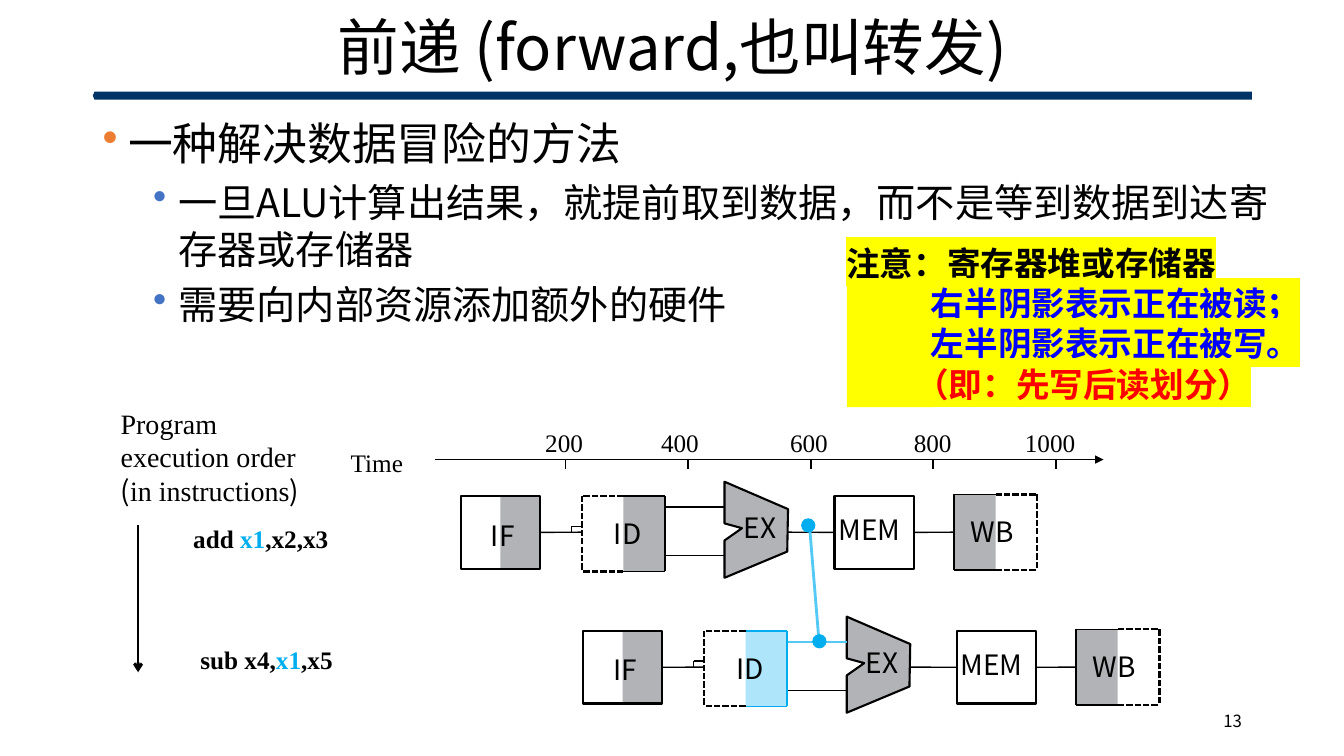
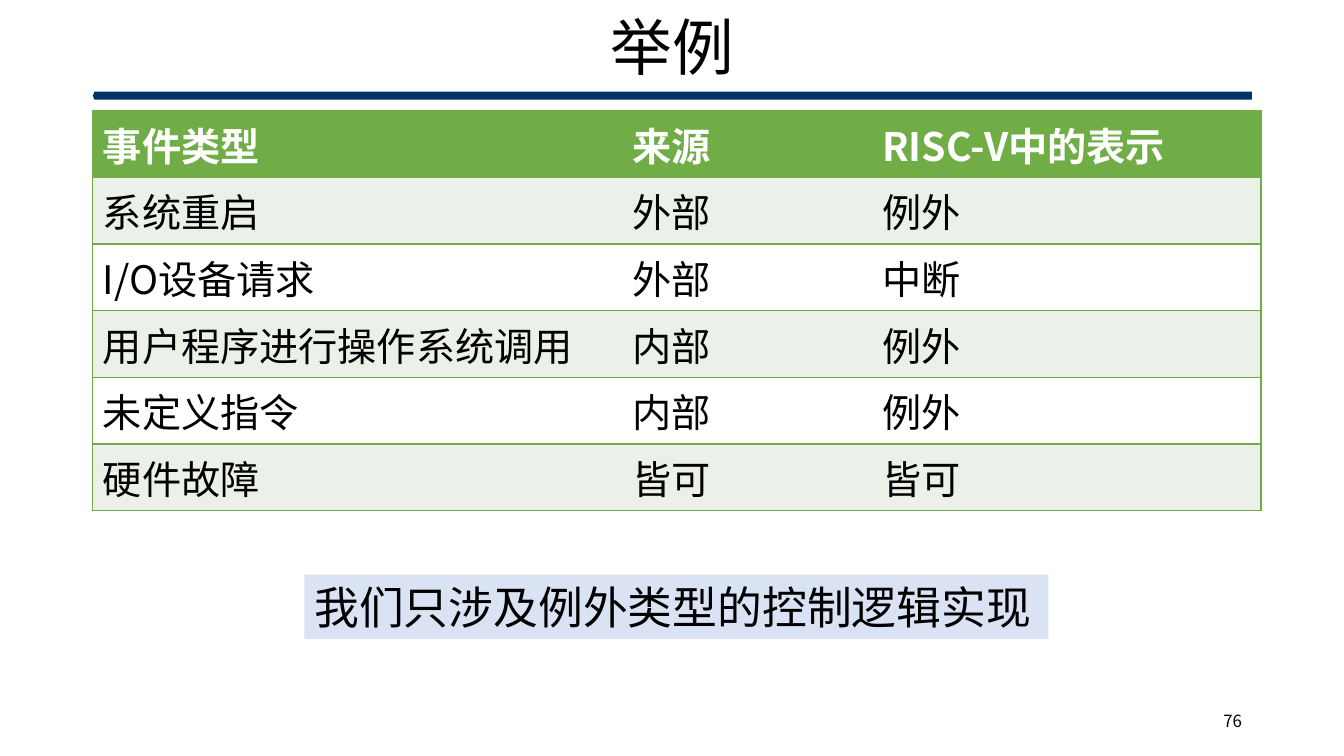
from lxml import etree
from pptx import Presentation
from pptx.dml.color import RGBColor
from pptx.enum.dml import MSO_LINE
from pptx.enum.shapes import MSO_CONNECTOR, MSO_SHAPE
from pptx.enum.text import MSO_ANCHOR as ANCHOR, PP_ALIGN as ALIGN
from pptx.oxml.ns import qn
from pptx.util import Cm, Pt

COLORS = {
    "black": "000000", "white": "FFFFFF", "navy": "003366", "gray": "B2B3B6",
    "orange": "ED7D31", "blue": "4472C4", "cyan": "00AEEF", "sky": "54C9F5",
    "ice": "AEE5FA", "green": "70AD47", "mint": "EBF1E9", "pale": "DAE3F3",
    "yellow": "FFFF00", "pure_blue": "0000FF", "red": "FF0000",
}
SANS, SERIF = "Noto Sans CJK SC", "Times New Roman"


def rgb(name):
    return RGBColor.from_string(COLORS[name])


def add_color(parent, tag, name):
    """Append an element that wraps one colour."""
    el = etree.SubElement(parent, qn(tag))
    etree.SubElement(el, qn("a:srgbClr")).set("val", COLORS[name])
    return el


class Deck:
    def __init__(self):
        self.prs = Presentation()
        self.prs.slide_width, self.prs.slide_height = Cm(33.87), Cm(19.05)
        self.s = None

    def slide(self, title, number):
        """Start a slide with its title, band and page number."""
        self.s = self.prs.slides.add_slide(self.prs.slide_layouts[6])
        band = self.shape(MSO_SHAPE.PENTAGON, (2.34, 2.31, 29.21, 0.2), "navy")
        band.adjustments[0] = 0.2
        band.rotation = 180
        tf = self.text((2.34, 0.43, 29.21, 1.68), [[title]], 44,
                       align=ALIGN.CENTER, anchor=ANCHOR.MIDDLE)
        tf.paragraphs[0].line_spacing = 0.9
        self.text((23.93, 17.65, 7.62, 1.02), [[str(number)]], 12,
                  align=ALIGN.RIGHT, anchor=ANCHOR.MIDDLE)

    def run(self, p, text, size, font=SANS, color="black", bold=False, mark=None):
        r = p.add_run()
        r.text = text
        r.font.size, r.font.bold, r.font.name = Pt(size), bold, font
        r.font.color.rgb = rgb(color)
        latin = r.font._element.find(qn("a:latin"))
        ea = etree.Element(qn("a:ea"))
        ea.set("typeface", font)
        latin.addnext(ea)
        if mark:
            latin.addprevious(add_color(r.font._element, "a:highlight", mark))

    def fill_text(self, tf, paras, size, align=ALIGN.LEFT, **style):
        """Each paragraph is a list of strings or (string, style) pairs."""
        for i, runs in enumerate(paras):
            p = tf.paragraphs[0] if i == 0 else tf.add_paragraph()
            p.alignment = align
            for item in runs:
                text, extra = (item, {}) if isinstance(item, str) else item
                self.run(p, text, **{"size": size, **style, **extra})

    def text(self, box, paras, size, anchor=ANCHOR.TOP, **style):
        tf = self.s.shapes.add_textbox(*map(Cm, box)).text_frame
        tf.word_wrap, tf.vertical_anchor = True, anchor
        self.fill_text(tf, paras, size, **style)
        return tf

    def indent(self, p, left, first=0, bullet=None):
        pPr = p._p.get_or_add_pPr()
        pPr.set("marL", str(Cm(left)))
        pPr.set("indent", str(Cm(first)))
        if bullet:
            add_color(pPr, "a:buClr", bullet)
            etree.SubElement(pPr, qn("a:buChar")).set("char", "•")

    def paint(self, sp, fill, line=None, width=1.5):
        sp.shadow.inherit = False
        if fill:
            sp.fill.solid()
            sp.fill.fore_color.rgb = rgb(fill)
        else:
            sp.fill.background()
        if line:
            sp.line.color.rgb, sp.line.width = rgb(line), Pt(width)
        else:
            sp.line.fill.background()
        return sp

    def shape(self, kind, box, fill=None, line=None):
        sp = self.s.shapes.add_shape(kind, *map(Cm, box))
        return self.paint(sp, fill, line)

    def rect(self, box, fill=None, line=None):
        return self.shape(MSO_SHAPE.RECTANGLE, box, fill, line)

    def polygon(self, points, fill, line):
        pts = [(Cm(x), Cm(y)) for x, y in points]
        builder = self.s.shapes.build_freeform(*pts[0], scale=1.0)
        builder.add_line_segments(pts[1:], close=True)
        return self.paint(builder.convert_to_shape(), fill, line)

    def line(self, x1, y1, x2, y2, color="black", width=1.0, dash=False,
             head=None, begin=None, end=None):
        c = self.s.shapes.add_connector(MSO_CONNECTOR.STRAIGHT,
                                        Cm(x1), Cm(y1), Cm(x2), Cm(y2))
        if begin:
            c.begin_connect(*begin)
        if end:
            c.end_connect(*end)
        c.line.color.rgb, c.line.width = rgb(color), Pt(width)
        if dash:
            c.line.dash_style = MSO_LINE.SQUARE_DOT
        if head:
            etree.SubElement(c.line._ln, qn("a:tailEnd")).set("type", head)
        etree.SubElement(c._element.spPr, qn("a:effectLst"))

    def half_frame(self, mid, outer, top, bottom, color="black", dash=False):
        """Three sides of one half of a register box."""
        width = 1.5 if dash else 1.25
        for ends in ((mid, top, outer, top), (mid, bottom, outer, bottom),
                     (outer, top, outer, bottom)):
            self.line(*ends, color=color, width=width, dash=dash)

    def pipeline(self, x, y, hot=False):
        """The five stages of one instruction; (x, y) is the corner of IF."""
        id_fill, id_line, id_wire = (("ice", "cyan", "sky") if hot
                                     else ("gray", "black", "black"))
        mid = y + 0.91
        # Half shading and stage bodies
        wb = self.rect((x + 12.43, y - 0.04, 1.05, 1.9), "gray")
        self.rect((x + 4.1, y, 1.05, 1.9), id_fill)
        self.rect((x + 1, y, 1, 1.83), "gray")
        alu = ((6.65, -0.36), (6.65, 0.69), (7.09, 0.81), (6.65, 1.12),
               (6.65, 2.06), (8.23, 1.4), (8.25, 0.33))
        self.polygon([(x + dx, y + dy) for dx, dy in alu], "gray", "black")
        fetch = self.rect((x, y, 2, 1.83), line="black")
        mem = self.rect((x + 9.42, y, 2, 1.83), "white", "black")
        # Wires
        self.line(x + 2, mid, x + 3.05, mid, begin=(fetch, 3))
        self.line(x + 2.79, y + 0.76, x + 2.79, mid)
        self.line(x + 2.79, y + 0.76, x + 3.05, y + 0.76)
        self.line(x + 5.15, y + 0.28, x + 6.65, y + 0.28, id_wire)
        self.line(x + 5.15, y + 1.5, x + 6.65, y + 1.5)
        self.line(x + 8.24, mid, x + 9.42, mid, end=(mem, 1))
        self.line(x + 11.42, mid, x + 12.43, mid, begin=(mem, 3), end=(wb, 1))
        # Stage names
        for name, dx, dy, w in (("IF", 0.51, 0.43, 1.24), ("ID", 3.61, 0.38, 1.37),
                                ("EX", 6.88, 0.25, 1.68), ("MEM", 9.27, 0.28, 2.36),
                                ("WB", 12.6, 0.33, 1.98)):
            self.text((x + dx, y + dy, w, 1.19), [[name]], 20)
        # Frames of the register boxes
        self.half_frame(x + 4.1, x + 3.05, y, y + 1.9, dash=True)
        self.half_frame(x + 4.1, x + 5.15, y, y + 1.9, id_line)
        self.half_frame(x + 13.48, x + 14.53, y - 0.04, y + 1.86, dash=True)
        self.half_frame(x + 13.48, x + 12.43, y - 0.04, y + 1.86)

    def table(self, left, top, widths, row_height, rows, size):
        frame = self.s.shapes.add_table(len(rows), len(widths), Cm(left), Cm(top),
                                        Cm(sum(widths)), Cm(row_height * len(rows)))
        tbl = frame.table
        for col, w in zip(tbl.columns, widths):
            col.width = Cm(w)
        for i, row in enumerate(rows):
            tbl.rows[i].height = Cm(row_height)
            fill = "green" if i == 0 else ("mint" if i % 2 else "white")
            for j, text in enumerate(row):
                cell = tbl.cell(i, j)
                edges = {"L": j == 0, "R": j == len(row) - 1, "T": True, "B": True}
                self.borders(cell, edges)
                cell.fill.solid()
                cell.fill.fore_color.rgb = rgb(fill)
                self.fill_text(cell.text_frame, [[text]], size, bold=i == 0,
                               color="white" if i == 0 else "black")

    def borders(self, cell, edges):
        tcPr = cell._tc.get_or_add_tcPr()
        for side, shown in edges.items():
            ln = etree.SubElement(tcPr, qn("a:ln" + side))
            ln.set("w", str(Pt(1)))
            if shown:
                add_color(ln, "a:solidFill", "green")
            else:
                etree.SubElement(ln, qn("a:noFill"))


def forwarding(d):
    d.slide("前递 (forward,也叫转发)", 13)

    # Bulleted text
    tf = d.text((2.34, 2.79, 30.28, 14.63), [
        [("一种解决数据冒险的方法", {"size": 32})],
        ["一旦ALU计算出结果，就提前取到数据，而不是等到数据到达寄存器或存储器"],
        ["需要向内部资源添加额外的硬件"]], 28)
    first, *rest = tf.paragraphs
    d.indent(first, 0.64, -0.64, "orange")
    for p in rest:
        d.indent(p, 1.91, -0.64, "blue")
        p.level, p.space_before = 1, Pt(6)

    # Pipelines of the two instructions
    d.pipeline(11.61, 12.5)
    d.pipeline(14.69, 15.9, hot=True)

    # Time axis
    axis = 11.58
    d.line(10.97, axis, 27.81, axis, width=1.25, head="triangle")
    label_lefts = (13.49, 16.41, 19.66, 22.78, 25.58)
    for i, left in enumerate(label_lefts):
        x = 14.25 + 3.09 * i
        d.line(x, axis, x, axis + 0.25, width=1.25)
        d.text((left, 10.64, 2.2, 1.02), [[str(200 * (i + 1))]], 18, font=SERIF)
    d.text((8.59, 11.15, 2.64, 1.02), [["Time"]], 18, font=SERIF)

    # Forwarding path
    d.line(20.4, 13.23, 20.65, 16.28, "sky", 2)
    for x, y in ((20.19, 13.06), (20.47, 15.98)):
        d.shape(MSO_SHAPE.OVAL, (x, y, 0.36, 0.36), "cyan")

    # Instructions in program order
    sans = {"font": SANS}
    d.text((2.79, 10.11, 5.69, 2.82),
           [["Program execution order"], [("(", sans), "in instructions", (")", sans)]],
           20, font=SERIF)
    x1 = ("x1", {"color": "cyan"})
    for left, top, runs in ((4.62, 13.06, ["add ", x1, ",x2,x3"]),
                            (4.8, 16.1, ["sub x4,", x1, ",x5"])):
        d.text((left, top, 4.34, 1.02), [runs], 18, font=SERIF, bold=True)
    d.line(3.48, 13.23, 3.48, 16.94, width=2, head="arrow")

    # Highlighted note
    d.rect((21.34, 7.01, 2.2, 3.25), "yellow")
    note = (("注意：寄存器堆或存储器", "black", 1.27),
            ("右半阴影表示正在被读；", "pure_blue", 3.4),
            ("左半阴影表示正在被写。", "pure_blue", 3.4),
            ("（即：先写后读划分）", "red", 3.01))
    tf = d.text((19.81, 5.99, 13.9, 4.37),
                [[(text, {"color": color})] for text, color, _ in note],
                24, bold=True, mark="yellow")
    for p, (_, _, left) in zip(tf.paragraphs, note):
        d.indent(p, left)


def examples(d):
    d.slide("举例", 76)

    # Event table
    d.table(2.34, 2.79, (13.34, 6.3, 9.8), 1.68, (
        ("事件类型", "来源", "RISC-V中的表示"),
        ("系统重启", "外部", "例外"),
        ("I/O设备请求", "外部", "中断"),
        ("用户程序进行操作系统调用", "内部", "例外"),
        ("未定义指令", "内部", "例外"),
        ("硬件故障", "皆可", "皆可")), 28)

    # Closing remark
    tf = d.rect((7.67, 14.48, 18.75, 1.63), "pale").text_frame
    tf.word_wrap, tf.vertical_anchor = False, ANCHOR.MIDDLE
    d.fill_text(tf, [["我们只涉及例外类型的控制逻辑实现"]], 32)


def main():
    d = Deck()
    forwarding(d)
    examples(d)
    d.prs.save("out.pptx")


if __name__ == "__main__":
    main()
